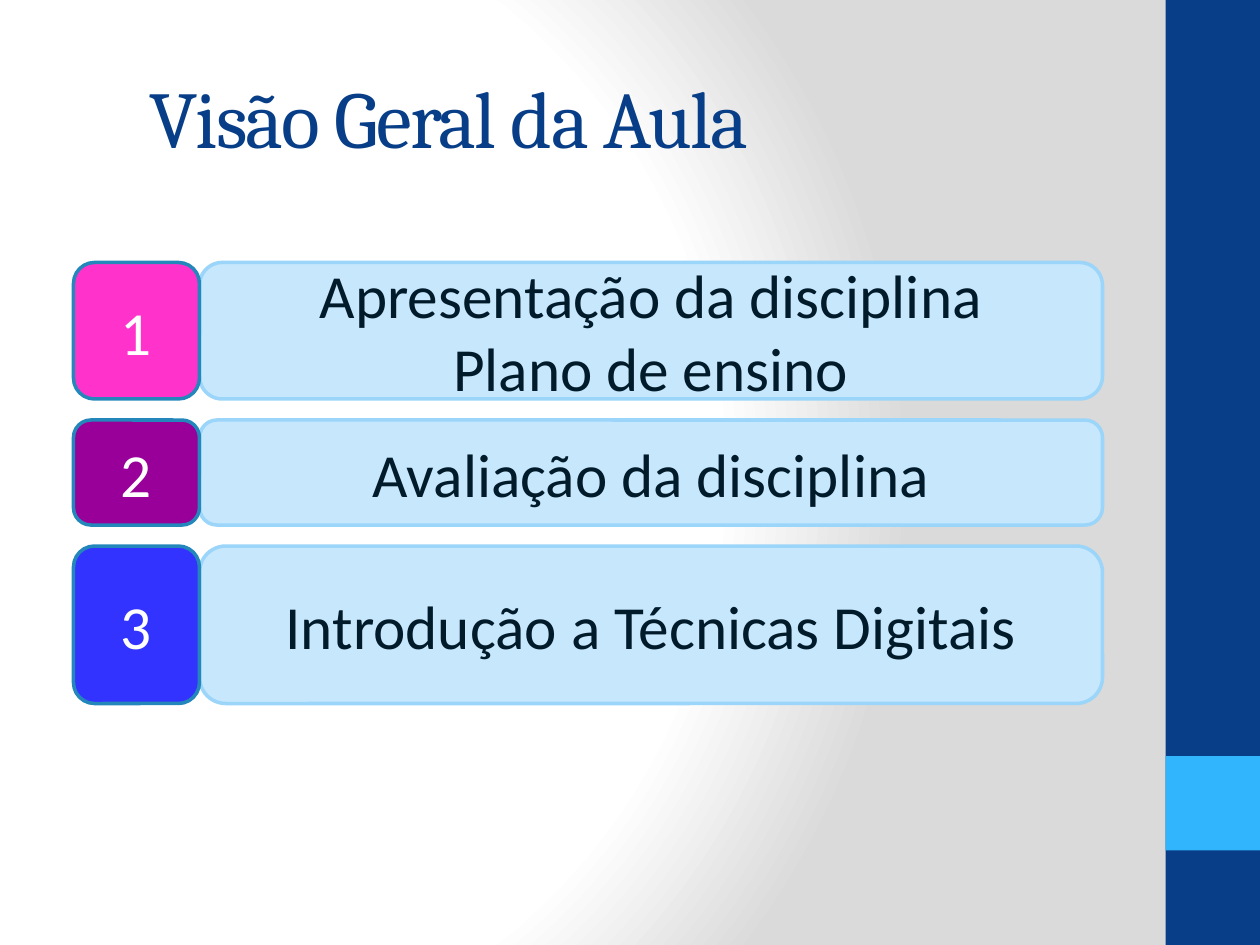
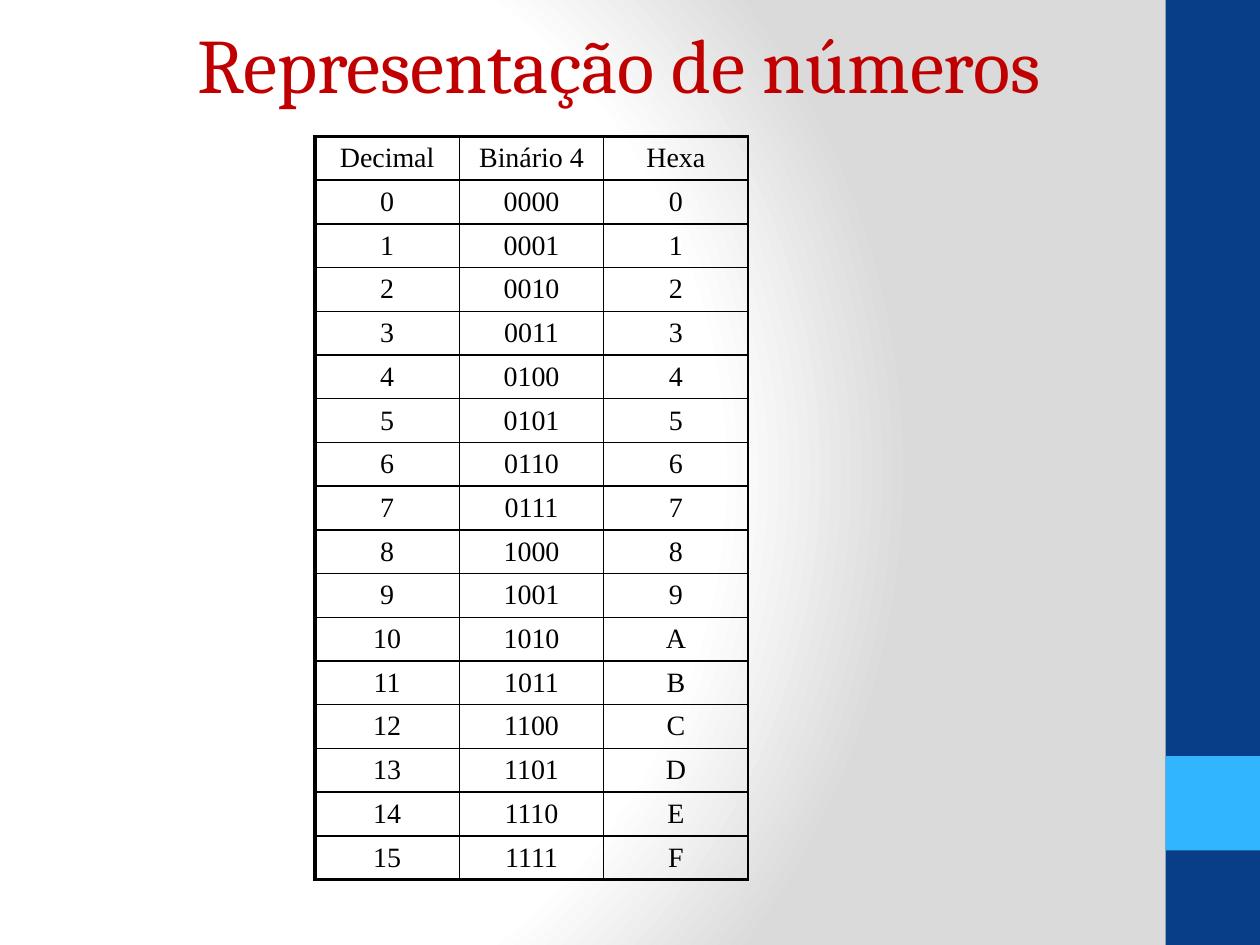
from pptx import Presentation
from pptx import oxml
from pptx.dml.color import RGBColor
from pptx.enum import shapes, text
from pptx.util import Pt

# Content
AGENDA = "Visão Geral da Aula"
TOPICS = [  # lines, height, badge colour
    (["Apresentação da disciplina", "Plano de ensino"], 78, RGBColor(0xFF, 0x33, 0xCC)),
    (["Avaliação da disciplina"], 60, RGBColor(0x99, 0x00, 0x99)),
    (["Introdução a Técnicas Digitais"], 90, RGBColor(0x33, 0x33, 0xFF)),
]
NUMBERS = "Representação de números"
ROWS = [("Decimal", "Binário 4", "Hexa")]
ROWS += [(str(n), f"{n:04b}", f"{n:X}") for n in range(16)]

# Shared look
NAVY = RGBColor(0x07, 0x3E, 0x87)
SKY = RGBColor(0x31, 0xB6, 0xFD)
RED = RGBColor(0xC0, 0x00, 0x00)
PALE = RGBColor(0xC6, 0xE7, 0xFC)
EDGE = RGBColor(0x9B, 0xD5, 0xFA)
RIM = RGBColor(0x24, 0x87, 0xBB)
INK = RGBColor(0x02, 0x1B, 0x2B)
WHITE = RGBColor(0xFF, 0xFF, 0xFF)
BLACK = RGBColor(0x00, 0x00, 0x00)
HEAD, BODY, GRID = "Cambria", "Calibri", "Times New Roman"
WIDE, HIGH = 720, 540
BANDS = [((666, 0, 54, HIGH), NAVY), ((666, 432, 54, 54), SKY)]
STOPS = [(0, WHITE), (75, WHITE), (100, RGBColor(0xDA, 0xDA, 0xDA))]
NS = 'xmlns:a="http://schemas.openxmlformats.org/drawingml/2006/main"'
LEFT, CENTER = text.PP_ALIGN.LEFT, text.PP_ALIGN.CENTER


def write(frame, lines, face, size, color, align=CENTER):
    frame.text = "\n".join(lines)
    frame.word_wrap = True
    frame.vertical_anchor = text.MSO_ANCHOR.MIDDLE
    for para in frame.paragraphs:
        para.alignment = align
        for run in para.runs:
            run.font.name, run.font.size = face, Pt(size)
            run.font.color.rgb = color


def add_box(slide, kind, box, fill, line=None):
    shape = slide.shapes.add_shape(kind, *map(Pt, box))
    shape.shadow.inherit = False
    shape.fill.solid()
    shape.fill.fore_color.rgb = fill
    if line is None:
        shape.line.fill.background()
    else:
        shape.line.color.rgb = line
        shape.line.width = Pt(2)
    return shape


def set_title(slide, words, box, size, color, align):
    title = slide.shapes.title
    title.left, title.top, title.width, title.height = map(Pt, box)
    write(title.text_frame, [words], HEAD, size, color, align)
    title.text_frame.auto_size = text.MSO_AUTO_SIZE.NONE
    return title


def add_card(slide, box, fill, line, lines, color):
    card = add_box(slide, shapes.MSO_SHAPE.ROUNDED_RECTANGLE, box, fill, line)
    frame = card.text_frame
    frame.margin_top = frame.margin_bottom = 0
    write(frame, lines, BODY, 35, color)


def set_edges(cell, widths):
    props = cell._tc.get_or_add_tcPr()
    for side, width in zip("LRTB", widths):
        props.append(oxml.parse_xml(
            f'<a:ln{side} {NS} w="{Pt(width)}"><a:solidFill>'
            f'<a:srgbClr val="{BLACK}"/></a:solidFill></a:ln{side}>'))


def set_master(master, slide):
    # Gradient background
    master.background.fill.solid()
    solid = master.element.xpath("p:cSld/p:bg/p:bgPr/a:solidFill")[0]
    stops = "".join(f'<a:gs pos="{at * 1000}"><a:srgbClr val="{color}"/></a:gs>'
                    for at, color in STOPS)
    solid.getparent().replace(solid, oxml.parse_xml(
        f'<a:gradFill {NS} rotWithShape="1"><a:gsLst>{stops}</a:gsLst>'
        '<a:path path="circle"><a:fillToRect l="20000" t="50000" '
        'r="100000" b="50000"/></a:path></a:gradFill>'))
    # Side bands, moved behind the master's placeholders
    tree = master.element.xpath("p:cSld/p:spTree")[0]
    for spot, (box, color) in enumerate(BANDS, 2):
        band = add_box(slide, shapes.MSO_SHAPE.RECTANGLE, box, color)
        tree.insert(spot, band.element)


def fill_agenda(slide):
    title = set_title(slide, AGENDA, (78, 21.6, 558, 90), 46, NAVY, LEFT)
    font = title.text_frame.paragraphs[0].runs[0].font
    font._element.set("spc", "-100")
    left, top, badge, width, gap = 42, 150, 72, 516, 12
    for num, (lines, high, color) in enumerate(TOPICS, 1):
        add_card(slide, (left + badge, top, width, high), PALE, EDGE, lines, INK)
        add_card(slide, (left, top, badge, high), color, RIM, [str(num)], WHITE)
        top += high + gap


def fill_numbers(slide):
    set_title(slide, NUMBERS, (30, 6, 648, 60), 44, RED, CENTER)
    cols, wide, high = len(ROWS[0]), 82.5, 25
    table = slide.shapes.add_table(len(ROWS), cols, Pt(180), Pt(78),
                                   Pt(cols * wide), Pt(len(ROWS) * high)).table
    table.first_row = table.horz_banding = False
    for col in table.columns:
        col.width = Pt(wide)
    last = len(ROWS) - 1
    for r, row in enumerate(ROWS):
        table.rows[r].height = Pt(high)
        for c, word in enumerate(row):
            cell = table.cell(r, c)
            set_edges(cell, (1 if c else 2.25, 1, 1 if r else 2.25,
                             2.25 if r == last else 1))
            cell.fill.background()
            cell.margin_top = cell.margin_bottom = Pt(3)
            cell.vertical_anchor = text.MSO_ANCHOR.MIDDLE
            write(cell.text_frame, [word], GRID, 16, BLACK)


def main():
    deck = Presentation()
    deck.slide_width, deck.slide_height = Pt(WIDE), Pt(HIGH)
    layout = deck.slide_layouts[5]
    first, second = (deck.slides.add_slide(layout) for _ in range(2))
    set_master(deck.slide_master, first)
    fill_agenda(first)
    fill_numbers(second)
    deck.save("out.pptx")


if __name__ == "__main__":
    main()
